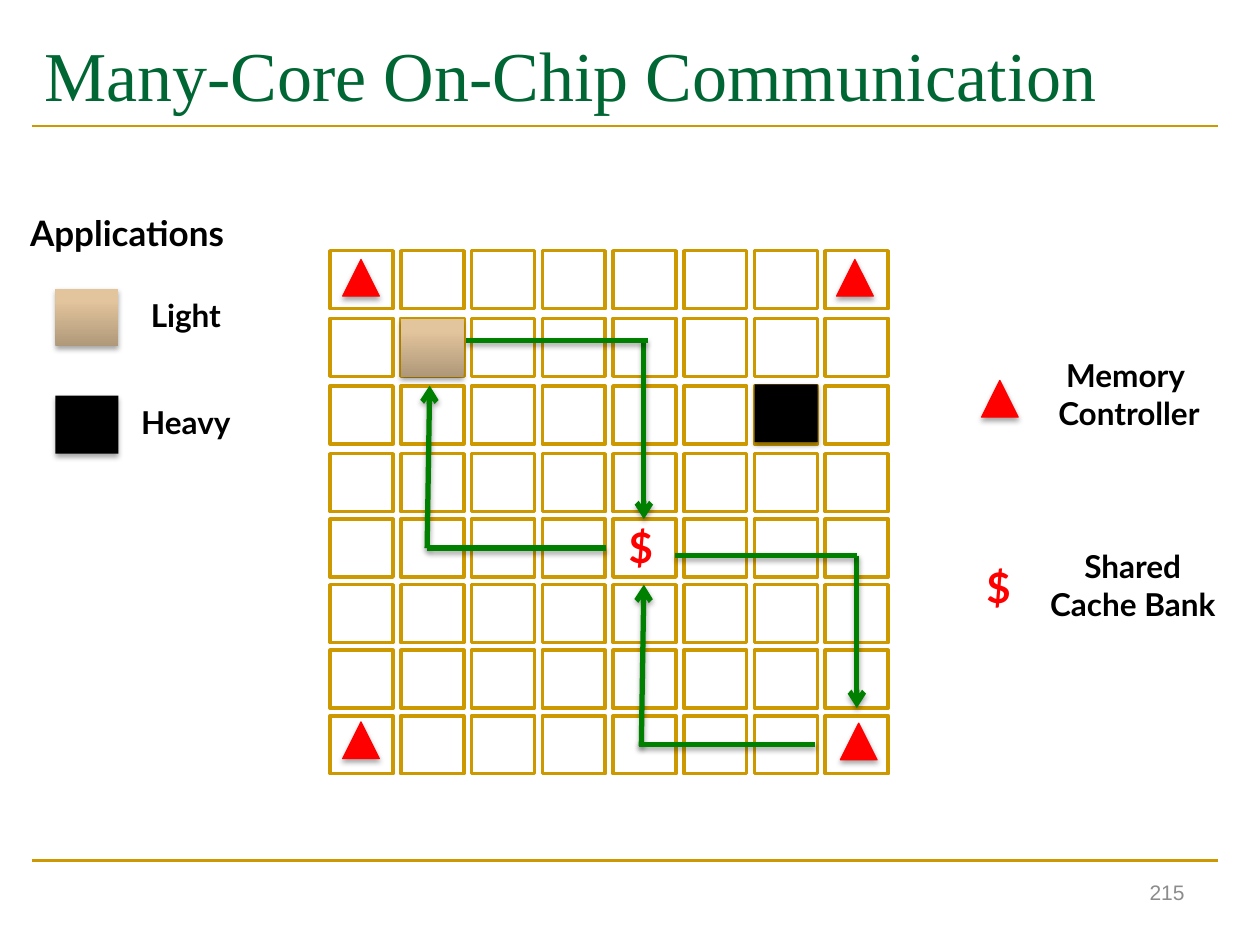
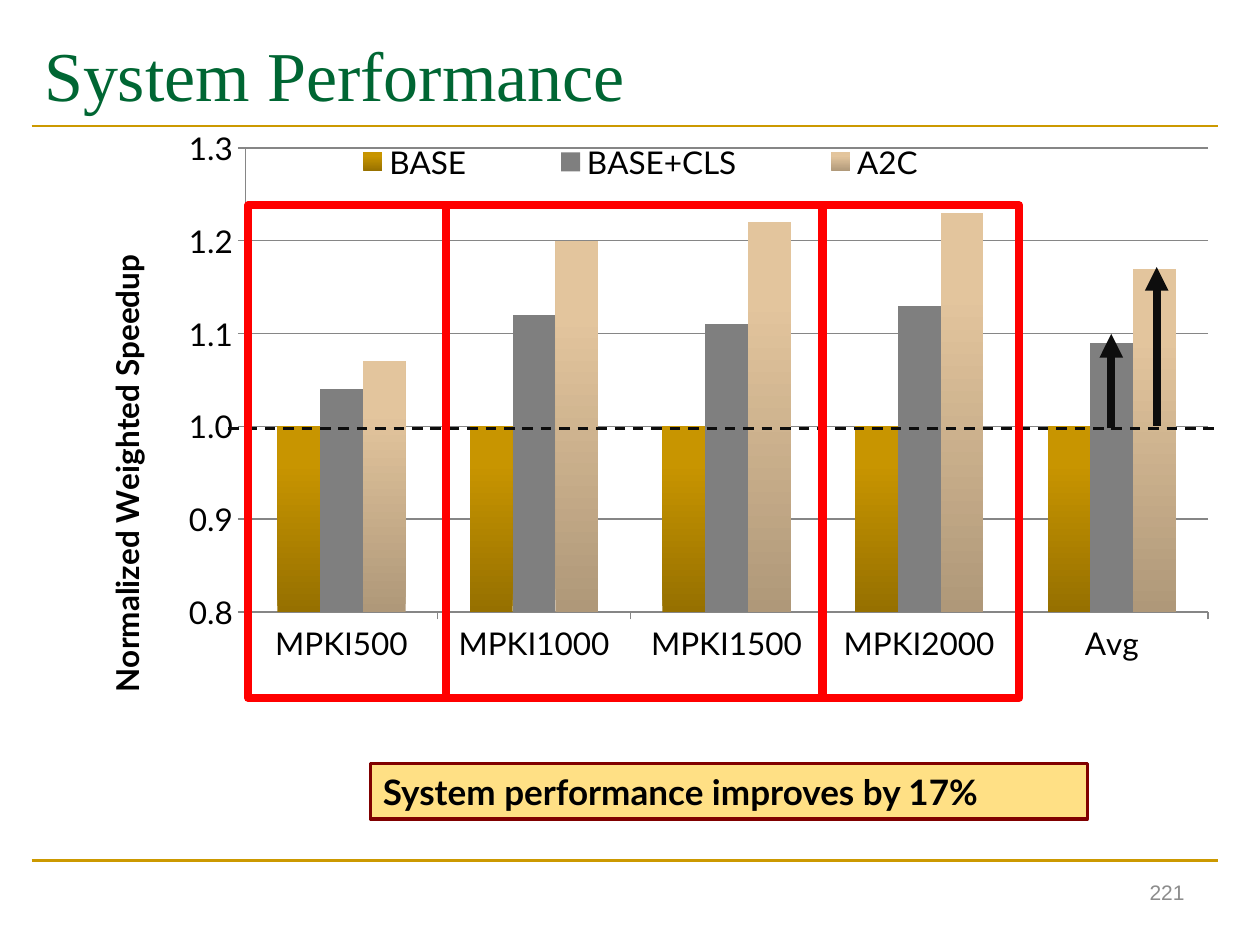
from dataclasses import dataclass
from typing import NamedTuple, Optional

from lxml.etree import SubElement
from pptx import Presentation
from pptx.chart.data import CategoryChartData
from pptx.dml.color import RGBColor as RGB
from pptx.enum.chart import XL_CHART_TYPE as CT, XL_LEGEND_POSITION as LP, XL_TICK_MARK as TM
from pptx.enum.dml import MSO_LINE
from pptx.enum.shapes import MSO_CONNECTOR, MSO_SHAPE
from pptx.enum.text import MSO_ANCHOR, MSO_AUTO_SIZE, PP_ALIGN
from pptx.oxml.ns import qn
from pptx.util import Inches, Pt


@dataclass(frozen=True)
class Theme:
    title_font: str = "Times New Roman"
    label_font: str = "Lato"
    number_font: str = "Arial"
    title: str = "006633"
    gold: str = "CC9900"
    white: str = "FFFFFF"
    black: str = "000000"
    red: str = "FF0000"
    green: str = "008000"
    arrow: str = "0D0D0D"
    number: str = "8C8C8C"
    axis: str = "868686"
    gray: str = "7F7F7F"
    callout: str = "FFE085"
    maroon: str = "800000"
    tan: tuple = ("AF9879", "E3C59D")
    ochre: tuple = ("967000", "C89500")
    title_size: int = 40
    cache_size: int = 24
    heading_size: int = 20
    label_size: int = 18
    number_size: int = 12


T = Theme()


class Box(NamedTuple):
    x: float
    y: float
    w: float
    h: float

    def emu(self) -> list:
        return [Inches(v) for v in self]


class Label(NamedTuple):
    text: str
    box: Box
    size: int = T.label_size
    color: str = T.black
    align: PP_ALIGN = PP_ALIGN.CENTER
    font: str = T.label_font
    bold: bool = True


class Line(NamedTuple):
    x1: float
    y1: float
    x2: float
    y2: float
    color: str = T.green
    width: float = 3
    head: Optional[str] = None
    dashed: bool = False
    shadow: bool = False


class Layout(NamedTuple):
    x: float
    y: float
    w: Optional[float] = None
    h: Optional[float] = None


class Bars(NamedTuple):
    name: str
    values: tuple
    fill: object


CELL_W, CELL_H = 0.5, 0.46
LIGHT_CELL = Box(3.18, 2.53, CELL_W, CELL_H)
HEAVY_CELL = Box(5.99, 3.05, CELL_W, CELL_H)
CONTROLLERS = [(2.72, 2.06), (6.64, 2.06), (2.72, 5.73), (6.67, 5.74), (7.79, 3.02)]
CACHE_BANKS = [(7.73, 4.41), (4.89, 4.09)]
LABELS = [
    Label("Memory \nController", Box(8.22, 2.78, 1.48, 0.71)),
    Label("Shared\nCache Bank", Box(8.15, 4.29, 1.68, 0.71)),
    Label("Light", Box(1.05, 2.3, 0.85, 0.4)),
    Label("Heavy", Box(0.98, 3.15, 0.99, 0.4)),
    Label("Applications", Box(0.14, 1.63, 1.93, 0.44), T.heading_size, align=PP_ALIGN.LEFT),
]
ROUTES = [
    ((5.36, 4.41, 6.8, 4.41), (6.8, 4.41, 6.8, 5.62)),
    ((6.47, 5.91, 5.07, 5.91), (5.09, 5.92, 5.11, 4.64)),
    ((3.7, 2.7, 5.14, 2.7), (5.11, 2.7, 5.11, 4.12)),
    ((4.81, 4.35, 3.39, 4.35), (3.39, 4.35, 3.41, 3.06)),
]
CATEGORIES = ["MPKI500", "MPKI1000", "MPKI1500", "MPKI2000", "Avg"]
SERIES = [
    Bars("BASE", (1, 1, 1, 1, 1), T.ochre),
    Bars("BASE+CLS", (1.04, 1.12, 1.11, 1.13, 1.09), T.gray),
    Bars("A2C", (1.07, 1.2, 1.22, 1.23, 1.17), T.tan),
]


def rgb(color: str) -> RGB:
    return RGB.from_string(color)


def paint(fill, color) -> None:
    if color is None:
        fill.background()
    elif isinstance(color, tuple):
        fill.gradient()
        fill.gradient_angle = 90
        for stop, shade, position in zip(fill.gradient_stops, color, (0, 0.8)):
            stop.color.rgb = rgb(shade)
            stop.position = position
    else:
        fill.solid()
        fill.fore_color.rgb = rgb(color)


def set_effects(sp, shadow: bool) -> None:
    effects = SubElement(sp._element.spPr, qn("a:effectLst"))
    if shadow:
        outer = SubElement(effects, qn("a:outerShdw"), blurRad=str(Pt(3.1)), dist=str(Pt(1.8)),
                           dir="5400000", rotWithShape="0")
        shade = SubElement(outer, qn("a:srgbClr"), val=T.black)
        SubElement(shade, qn("a:alpha"), val="35000")


def add_shape(s, kind, box: Box, fill=None, line: Optional[str] = None, width: float = 2,
              shadow: bool = False):
    sp = s.shapes.add_shape(kind, *box.emu())
    paint(sp.fill, fill)
    paint(sp.line.fill, line)
    if line:
        sp.line.width = Pt(width)
    set_effects(sp, shadow)
    return sp


def add_line(s, line: Line) -> None:
    ends = [Inches(v) for v in line[:4]]
    cx = s.shapes.add_connector(MSO_CONNECTOR.STRAIGHT, *ends)
    cx.line.color.rgb = rgb(line.color)
    cx.line.width = Pt(line.width)
    if line.dashed:
        cx.line.dash_style = MSO_LINE.DASH
    if line.head:
        SubElement(cx.line._get_or_add_ln(), qn("a:tailEnd"), type=line.head)
    set_effects(cx, line.shadow)


def style_text(tf, label: Label) -> None:
    tf.text = label.text
    for p in tf.paragraphs:
        p.alignment = label.align
        for r in p.runs:
            r.font.name = label.font
            r.font.size = Pt(label.size)
            r.font.bold = label.bold
            r.font.color.rgb = rgb(label.color)


def add_label(s, label: Label, anchor=MSO_ANCHOR.TOP) -> None:
    tf = s.shapes.add_textbox(*label.box.emu()).text_frame
    tf.word_wrap = False
    tf.vertical_anchor = anchor
    style_text(tf, label)


def add_slide(prs, title: str, number: str):
    s = prs.slides.add_slide(prs.slide_layouts[5])
    for y in (6.83, 1):
        add_line(s, Line(0.25, y, 9.67, y, T.gold, 1.5))
    heading = Label(title, Box(0.25, 0.17, 9.42, 0.83), T.title_size, T.title,
                    PP_ALIGN.LEFT, T.title_font, False)
    ph = s.shapes.title
    ph.left, ph.top, ph.width, ph.height = heading.box.emu()
    tf = ph.text_frame
    tf.auto_size = MSO_AUTO_SIZE.NONE
    tf.vertical_anchor = MSO_ANCHOR.MIDDLE
    style_text(tf, heading)
    add_label(s, Label(number, Box(7.17, 6.83, 2.33, 0.5), T.number_size, T.number,
                       PP_ALIGN.RIGHT, T.number_font, False), MSO_ANCHOR.MIDDLE)
    return s


def build_communication(prs) -> None:
    s = add_slide(prs, "Many-Core On-Chip Communication", "215")
    for row in range(8):
        y = 1.99 + 0.537 * min(row, 3) + 0.52 * max(row - 3, 0)
        for col in range(8):
            cell = Box(2.62 + 3.93 / 7 * col, y, CELL_W, CELL_H)
            add_shape(s, MSO_SHAPE.RECTANGLE, cell, T.white, T.gold)
    for x, y in CONTROLLERS:
        add_shape(s, MSO_SHAPE.ISOSCELES_TRIANGLE, Box(x, y, 0.29, 0.29), T.red, T.red, 0.75, True)
    for start, finish in ROUTES:
        add_line(s, Line(*finish, head="arrow", shadow=True))
        add_line(s, Line(*start, shadow=True))
    for x, y in CACHE_BANKS:
        add_label(s, Label("$", Box(x, y, 0.42, 0.5), T.cache_size, T.red, PP_ALIGN.LEFT))
    for legend_y, fill, cell in ((2.29, T.tan, LIGHT_CELL), (3.14, T.black, HEAVY_CELL)):
        for box in (Box(0.44, legend_y, CELL_W, CELL_H), cell):
            add_shape(s, MSO_SHAPE.RECTANGLE, box, fill, shadow=True)
    for label in LABELS:
        add_label(s, label)


def place(element, layout: Layout, index: int = 1, inner: bool = False) -> None:
    for old in element.findall(qn("c:layout")):
        element.remove(old)
    node = SubElement(element, qn("c:layout"))
    element.insert(index, node)
    manual = SubElement(node, qn("c:manualLayout"))
    if inner:
        SubElement(manual, qn("c:layoutTarget"), val="inner")
    for mode in ("xMode", "yMode"):
        SubElement(manual, qn(f"c:{mode}"), val="edge")
    for key, value in layout._asdict().items():
        if value is not None:
            SubElement(manual, qn(f"c:{key}"), val=str(value))


def add_speedup_chart(s) -> None:
    data = CategoryChartData(number_format="General")
    data.categories = CATEGORIES
    for bars in SERIES:
        data.add_series(bars.name, bars.values)
    frame = s.shapes.add_chart(CT.COLUMN_CLUSTERED, *Box(0.69, 0.99, 8.97, 4.55).emu(), data)
    chart = frame.chart
    chart.has_title = False
    chart.font.name = T.label_font
    chart.font.size = Pt(T.label_size)
    chart.font.color.rgb = rgb(T.black)
    plot = chart.plots[0]
    plot.gap_width = 150
    plot.vary_by_categories = False
    for ser, bars in zip(plot.series, SERIES):
        paint(ser.format.fill, bars.fill)
    place(chart._chartSpace.chart.plotArea, Layout(0.14, 0.041, 0.852, 0.812), 0, True)

    chart.has_legend = True
    chart.legend.position = LP.TOP
    chart.legend.include_in_layout = False
    place(chart.legend._element, Layout(0.17, 0.02, 0.64, 0.09))

    va = chart.value_axis
    va.minimum_scale, va.maximum_scale, va.major_unit = 0.8, 1.3, 0.1
    va.tick_labels.number_format = "0.0"
    va.tick_labels.number_format_is_linked = False
    va.has_major_gridlines = True
    va.major_gridlines.format.line.color.rgb = rgb(T.axis)
    for axis in (va, chart.category_axis):
        axis.major_tick_mark = TM.OUTSIDE
        axis.minor_tick_mark = TM.NONE
        axis.format.line.color.rgb = rgb(T.axis)
    tf = va.axis_title.text_frame
    style_text(tf, Label("Normalized Weighted Speedup", Box(0, 0, 0, 0)))
    body = tf._txBody.find(qn("a:bodyPr"))
    body.set("rot", "-5400000")
    body.set("vert", "horz")
    place(va.axis_title._element, Layout(0.01, 0.22))


def build_performance(prs) -> None:
    s = add_slide(prs, "System Performance", "221")
    add_speedup_chart(s)
    add_line(s, Line(1.81, 3.4, 9.67, 3.4, T.arrow, 1.5, dashed=True))
    for x, w in ((3.54, 2.99), (6.52, 1.57), (1.97, 1.57)):
        add_shape(s, MSO_SHAPE.RECTANGLE, Box(x, 1.63, w, 3.91), line=T.red, width=4.5)
    for x, bottom, top in ((9.18, 3.38, 2.12), (8.82, 3.4, 2.65)):
        add_line(s, Line(x, bottom, x, top, T.arrow, 4.5, "triangle"))
    box = Box(2.94, 6.06, 5.69, 0.44)
    callout = add_shape(s, MSO_SHAPE.RECTANGLE, box, T.callout, T.maroon)
    style_text(callout.text_frame, Label("System performance improves by 17%", box,
                                         T.heading_size, align=PP_ALIGN.LEFT))


def main() -> None:
    prs = Presentation()
    prs.slide_width, prs.slide_height = Inches(10), Inches(7.5)
    build_communication(prs)
    build_performance(prs)
    prs.save("out.pptx")


if __name__ == "__main__":
    main()
